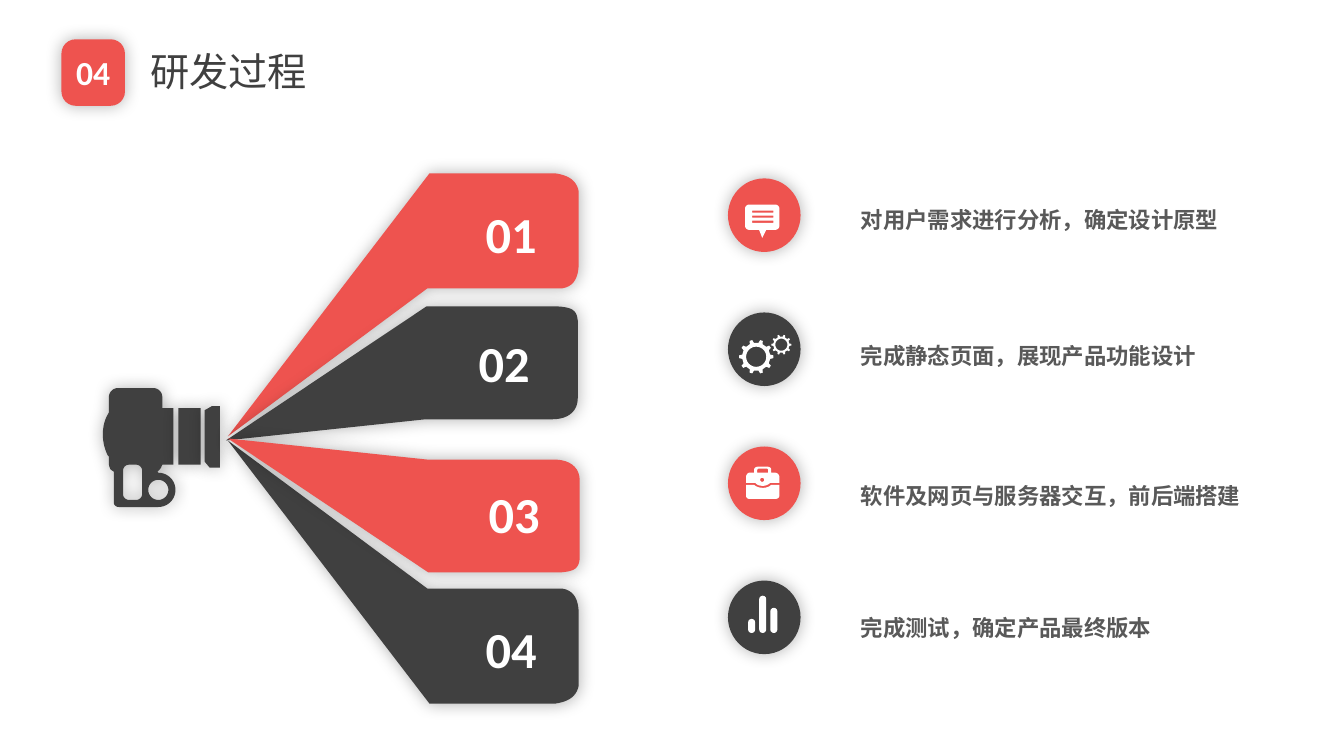
from dataclasses import dataclass
from math import cos, pi, sin

from lxml import etree
from pptx import Presentation
from pptx.dml.color import RGBColor
from pptx.enum.shapes import MSO_SHAPE
from pptx.enum.text import MSO_ANCHOR, MSO_AUTO_SIZE, PP_ALIGN
from pptx.oxml.ns import qn
from pptx.util import Inches, Pt

OVAL = MSO_SHAPE.OVAL
RECT = MSO_SHAPE.RECTANGLE
ROUND = MSO_SHAPE.ROUNDED_RECTANGLE
MIDDLE = MSO_ANCHOR.MIDDLE
TOP = MSO_ANCHOR.TOP
GROW = MSO_AUTO_SIZE.SHAPE_TO_FIT_TEXT
FIXED = MSO_AUTO_SIZE.NONE
LEFT = PP_ALIGN.LEFT
CENTER = PP_ALIGN.CENTER


@dataclass(frozen=True)
class Theme:
    font: str = "Calibri"
    red: str = "EE534F"
    dark: str = "404040"
    gray: str = "595959"
    white: str = "FFFFFF"
    black: str = "000000"
    title: int = 28
    badge: int = 24
    label: int = 36
    body: int = 16


THEME = Theme()


def write(shape, text, size, color, bold=True, align=LEFT, anchor=TOP, wrap=True, fit=FIXED, space=None):
    frame = shape.text_frame
    frame.word_wrap = wrap
    frame.auto_size = fit
    frame.vertical_anchor = anchor
    para = frame.paragraphs[0]
    para.alignment = align
    if space:
        para.line_spacing = space
    run = para.add_run()
    run.text = text
    font = run.font
    font.name = THEME.font
    font.size = Pt(size)
    font.bold = bold
    font.color.rgb = RGBColor.from_string(color)


def paint(shape, color, glow=False):
    shape.fill.solid()
    shape.fill.fore_color.rgb = RGBColor.from_string(color)
    shape.line.fill.background()
    shape.shadow.inherit = False
    if glow:
        effects = shape._element.spPr.find(qn("a:effectLst"))
        outer = etree.SubElement(effects, qn("a:outerShdw"), blurRad=str(Pt(12)),
                                 dist="0", dir="0", algn="ctr", rotWithShape="0")
        tint = etree.SubElement(outer, qn("a:srgbClr"), val=THEME.black)
        etree.SubElement(tint, qn("a:alpha"), val="30000")
    return shape


def block(slide, kind, box, color, glow=False, adjust=None):
    shape = slide.shapes.add_shape(kind, *map(Inches, box))
    if adjust is not None:
        shape.adjustments[0] = adjust
    return paint(shape, color, glow)


def label(slide, box, text, **style):
    write(slide.shapes.add_textbox(*map(Inches, box)), text, fit=GROW, **style)


def trace(steps, count=10):
    points = []
    for step in steps:
        if len(step) == 2:
            points.append(step)
            continue
        x, y = points[-1]
        a, b, c, d, e, f = step
        for i in range(1, count + 1):
            t = i / count
            u = 1 - t
            points.append((u**3 * x + 3 * u * u * t * a + 3 * u * t * t * c + t**3 * e,
                           u**3 * y + 3 * u * u * t * b + 3 * u * t * t * d + t**3 * f))
    return points


def outline(slide, color, *paths, glow=False):
    rings = [[(Inches(x), Inches(y)) for x, y in trace(steps)] for steps in paths]
    pen = slide.shapes.build_freeform(*rings[0][0], scale=1.0)
    for i, ring in enumerate(rings):
        if i:
            pen.move_to(*ring[0])
        pen.add_line_segments(ring[1:], close=True)
    return paint(pen.convert_to_shape(), color, glow)


def rounded(left, top, width, height, r):
    hubs = [(left + width - r, top + height - r), (left + r, top + height - r),
            (left + r, top + r), (left + width - r, top + r)]
    return [(x + r * cos(a), y + r * sin(a))
            for q, (x, y) in enumerate(hubs)
            for a in ((q + i / 8) * pi / 2 for i in range(9))]


def disc(x, y, r):
    return rounded(x - r, y - r, 2 * r, 2 * r, r)


def gear(slide, x, y, tip, root, hole, teeth=10):
    rim = []
    for i in range(teeth):
        for shift, r in ((-0.24, root), (-0.13, tip), (0.13, tip), (0.24, root)):
            a = (i + shift) * 2 * pi / teeth
            rim.append((x + r * cos(a), y + r * sin(a)))
    outline(slide, THEME.white, rim, disc(x, y, hole))


def mirror(steps, total, shift=0):
    return [tuple(total - v if i % 2 else v + shift for i, v in enumerate(step)) for step in steps]


def chat(slide):
    slots = [[(7.46, y), (7.67, y), (7.67, y + 0.02), (7.46, y + 0.02)] for y in (2.09, 2.14, 2.19)]
    outline(slide, THEME.white, rounded(7.39, 2.03, 0.34, 0.25, 0.04), *slots)
    outline(slide, THEME.white, [(7.52, 2.26), (7.61, 2.26), (7.56, 2.36)])


def gears(slide):
    gear(slide, 7.5, 3.54, 0.17, 0.14, 0.1)
    gear(slide, 7.75, 3.42, 0.1, 0.08, 0.06)


def case(slide):
    base = [(7.57, 4.84), (7.53, 4.84, 7.5, 4.83, 7.48, 4.81), (7.4, 4.81), (7.4, 4.92),
            (7.4, 4.94, 7.42, 4.95, 7.43, 4.95), (7.69, 4.95),
            (7.71, 4.95, 7.73, 4.94, 7.73, 4.92), (7.73, 4.81), (7.65, 4.81),
            (7.63, 4.83, 7.6, 4.84, 7.57, 4.84)]
    lid = [(7.69, 4.69), (7.65, 4.69), (7.65, 4.66), (7.65, 4.64, 7.63, 4.63, 7.61, 4.63),
           (7.52, 4.63), (7.5, 4.63, 7.48, 4.64, 7.48, 4.66), (7.48, 4.69), (7.43, 4.69),
           (7.42, 4.69, 7.4, 4.71, 7.4, 4.73), (7.4, 4.79), (7.49, 4.79),
           (7.51, 4.81, 7.53, 4.82, 7.57, 4.82), (7.59, 4.82, 7.62, 4.81, 7.64, 4.79),
           (7.73, 4.79), (7.73, 4.73), (7.73, 4.71, 7.71, 4.69, 7.69, 4.69)]
    grip = [(7.51, 4.69), (7.51, 4.66), (7.52, 4.65), (7.61, 4.65), (7.62, 4.66), (7.62, 4.69)]
    outline(slide, THEME.white, base)
    outline(slide, THEME.white, lid, grip, disc(7.56, 4.76, 0.02))


def bars(slide):
    for i, tall in enumerate((0.14, 0.37, 0.25)):
        block(slide, ROUND, (7.42 + i * 0.11, 6.28 - tall, 0.07, tall), THEME.white, adjust=0.5)


def camera(slide):
    body = [(1.17, 3.85), (1.52, 3.85), (1.57, 3.85, 1.61, 3.89, 1.61, 3.94), (1.61, 4.05),
            (1.72, 4.05), (1.72, 4.61), (1.61, 4.61), (1.6, 4.63),
            (1.6, 4.64, 1.59, 4.65, 1.58, 4.66), (1.56, 4.68), (1.57, 4.69),
            (1.66, 4.69, 1.74, 4.76, 1.74, 4.86), (1.74, 4.96, 1.66, 5.03, 1.57, 5.03),
            (1.18, 5.03), (1.15, 5.03, 1.13, 5.01, 1.13, 4.99), (1.13, 4.68), (1.1, 4.66),
            (1.09, 4.65, 1.08, 4.62, 1.08, 4.6), (1.08, 4.53), (1.07, 4.52),
            (1.04, 4.46, 1.02, 4.39, 1.02, 4.31), (1.02, 4.23, 1.04, 4.16, 1.07, 4.11),
            (1.08, 4.09), (1.08, 3.94), (1.08, 3.89, 1.12, 3.85, 1.17, 3.85)]
    outline(slide, THEME.dark, body, disc(1.57, 4.86, 0.1),
            rounded(1.22, 4.61, 0.19, 0.35, 0.06), glow=True)
    block(slide, RECT, (1.77, 4.05, 0.22, 0.56), THEME.dark, glow=True)
    outline(slide, THEME.dark, [(2.18, 4.64), (2.18, 4.03), (2.1, 4.03), (2.03, 4.07),
                                (2.03, 4.58), (2.08, 4.64)], glow=True)


def beams(slide):
    wide = [(2.26, 4.33), (4.26, 1.72), (5.51, 1.72), (5.64, 1.74, 5.72, 1.79, 5.74, 1.9),
            (5.74, 2.61), (5.74, 2.74, 5.7, 2.84, 5.58, 2.86), (4.24, 2.86)]
    slim = [(2.24, 4.37), (4.23, 3.04), (5.53, 3.04), (5.68, 3.05, 5.72, 3.08, 5.73, 3.18),
            (5.73, 3.95), (5.73, 4.1, 5.61, 4.16, 5.48, 4.16), (4.22, 4.16)]
    outline(slide, THEME.red, wide, glow=True)
    outline(slide, THEME.dark, mirror(wide, 8.7), glow=True)
    outline(slide, THEME.dark, slim, glow=True)
    outline(slide, THEME.red, mirror(slim, 8.72, 0.02), glow=True)
    for i, (x, y) in enumerate([(4.71, 1.97), (4.64, 3.25), (4.74, 4.74), (4.71, 6.08)], 1):
        label(slide, (x, y, 0.72, 0.61), f"{i:02}", size=THEME.label, color=THEME.white,
              align=CENTER, wrap=False)


def steps(slide):
    rows = [(chat, 1.73, "对用户需求进行分析，确定设计原型"),
            (gears, 3.08, "完成静态页面，展现产品功能设计"),
            (case, 4.47, "软件及网页与服务器交互，前后端搭建"),
            (bars, 5.78, "完成测试，确定产品最终版本")]
    for i, (icon, y, text) in enumerate(rows):
        color = THEME.dark if i % 2 else THEME.red
        block(slide, OVAL, (7.22, 1.77 + i * 1.33, 0.72, 0.73), color, glow=True)
        icon(slide)
        label(slide, (8.44, y, 4.06, 0.64), text, size=THEME.body, color=THEME.gray, space=2.0)


def header(slide):
    badge = block(slide, ROUND, (0.61, 0.39, 0.63, 0.66), THEME.red, glow=True, adjust=0.224)
    write(badge, "04", THEME.badge, THEME.white, align=CENTER, anchor=MIDDLE, wrap=False)
    title = slide.shapes.title
    title.left, title.top, title.width, title.height = map(Inches, (1.39, 0.35, 3.6, 0.7))
    write(title, "研发过程", THEME.title, THEME.dark, bold=False, anchor=MIDDLE)


def main():
    deck = Presentation()
    deck.slide_width, deck.slide_height = Inches(13.33), Inches(7.5)
    slide = deck.slides.add_slide(deck.slide_layouts[5])
    header(slide)
    camera(slide)
    beams(slide)
    steps(slide)
    deck.save("out.pptx")


if __name__ == "__main__":
    main()
